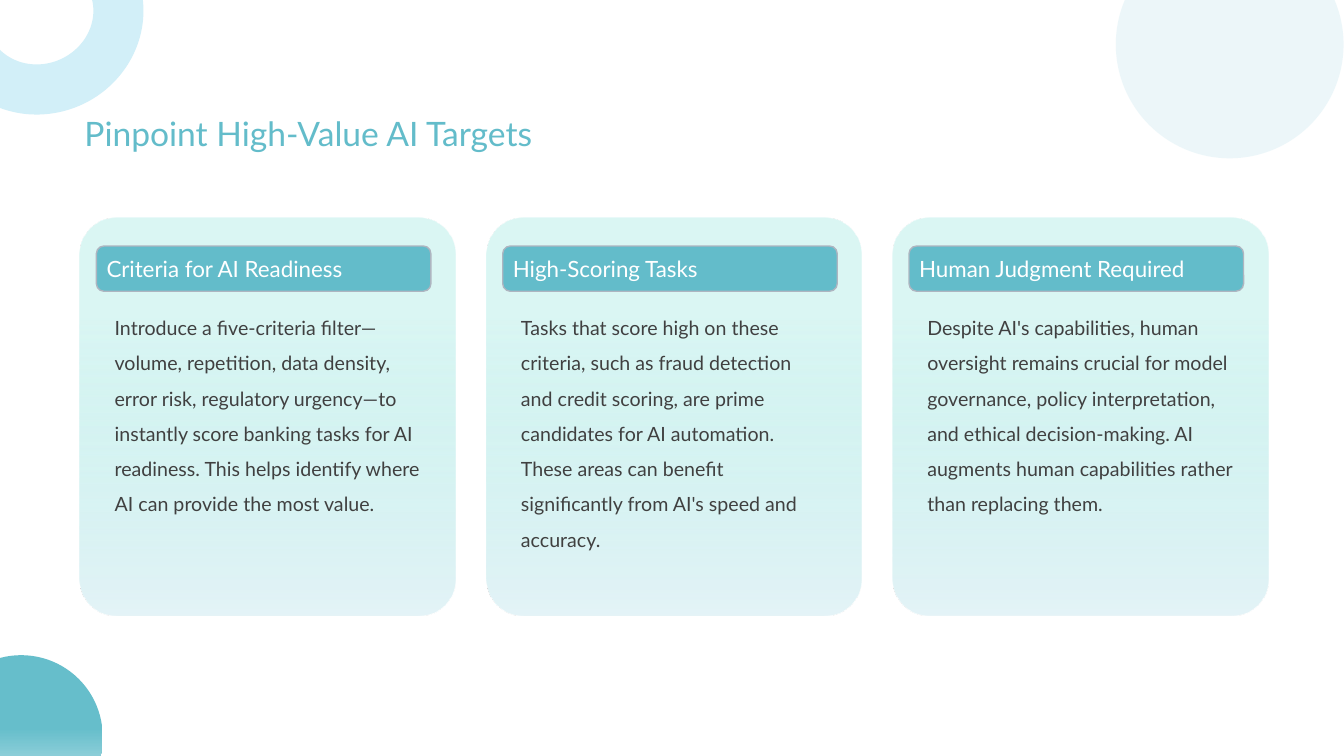
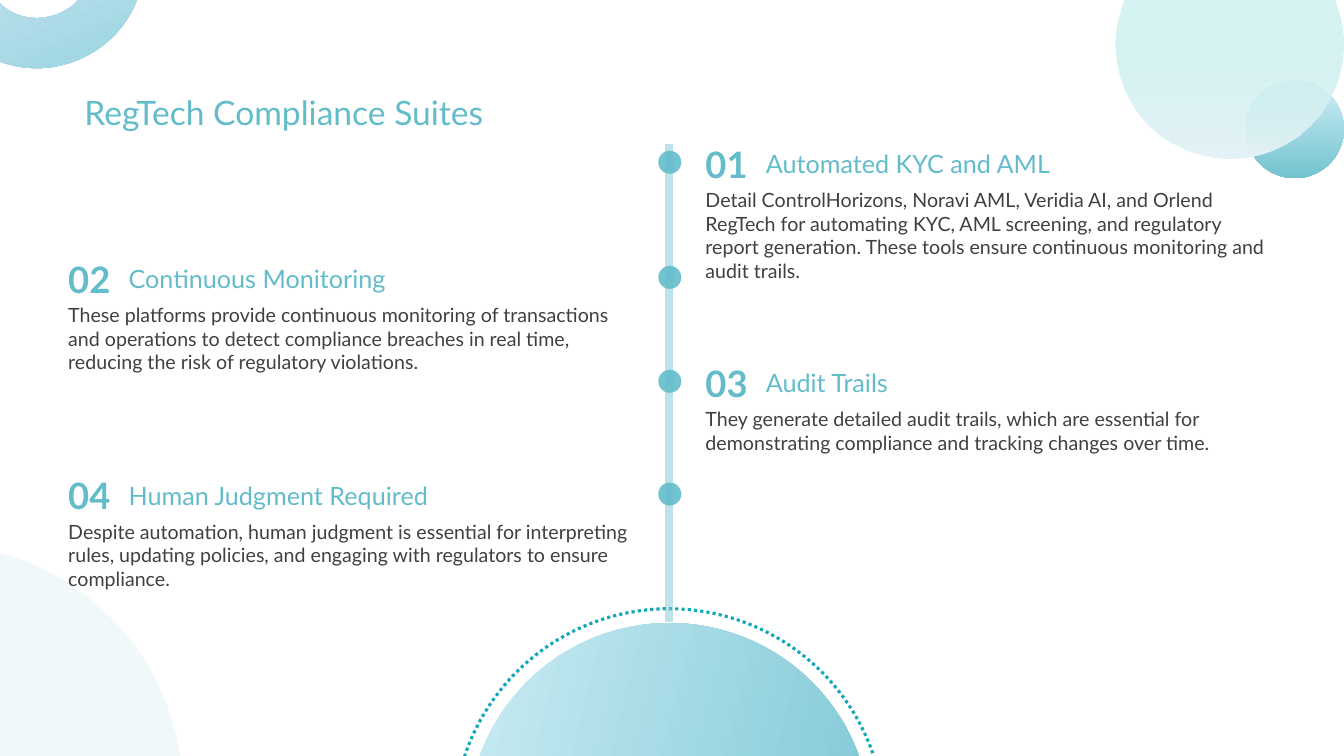
from lxml.etree import SubElement
from pptx import Presentation
from pptx.dml.color import RGBColor
from pptx.enum.dml import MSO_LINE
from pptx.enum.shapes import MSO_SHAPE
from pptx.enum.text import MSO_ANCHOR, PP_ALIGN
from pptx.oxml import parse_xml
from pptx.oxml.ns import nsdecls, qn
from pptx.util import Cm, Pt

FONT = "Lato"
TEAL, INK, WHITE = "63BCCA", "404040", "FFFFFF"
SKY, MIST, LAGOON, MINT = "D2EFF8", "E4F3F7", "72C3CF", "A8EAE4"

# A fill is a list of stops: (position in %, colour, opacity in %). One stop is a plain fill.
MINT_FADE = [(0, MINT, 42), (100, MIST, 100)]
SKY_FADE = [(0, SKY, 100), (100, LAGOON, 100)]
CARD_FADE = [(0, MINT, 42), (25, MINT, 42), (100, MIST, 100)]
CORNER_FADE = [(0, "66BECB", 100), (45, "66BECB", 100), (100, MIST, 100)]
RING_FADE = [(0, "91CFDF", 100), (100, MIST, 100)]

CARDS = [
    ("Criteria for AI Readiness",
     "Introduce a five-criteria filter—volume, repetition, data density, error risk, "
     "regulatory urgency—to instantly score banking tasks for AI readiness. This helps "
     "identify where AI can provide the most value."),
    ("High-Scoring Tasks",
     "Tasks that score high on these criteria, such as fraud detection and credit scoring, "
     "are prime candidates for AI automation. These areas can benefit significantly from "
     "AI's speed and accuracy."),
    ("Human Judgment Required",
     "Despite AI's capabilities, human oversight remains crucial for model governance, "
     "policy interpretation, and ethical decision-making. AI augments human capabilities "
     "rather than replacing them."),
]

# Top in cm, heading, body; entries alternate right and left of the line.
STEPS = [
    (3.45, "Automated KYC and AML",
     "Detail ControlHorizons, Noravi AML, Veridia AI, and Orlend RegTech for automating "
     "KYC, AML screening, and regulatory report generation. These tools ensure continuous "
     "monitoring and audit trails."),
    (6.35, "Continuous Monitoring",
     "These platforms provide continuous monitoring of transactions and operations to "
     "detect compliance breaches in real time, reducing the risk of regulatory violations."),
    (8.97, "Audit Trails",
     "They generate detailed audit trails, which are essential for demonstrating "
     "compliance and tracking changes over time."),
    (11.81, "Human Judgment Required",
     "Despite automation, human judgment is essential for interpreting rules, updating "
     "policies, and engaging with regulators to ensure compliance."),
]
STEP_LEFTS = (17.53, 1.47)


def colour(value):
    return RGBColor.from_string(value)


def plain(value, opacity=100):
    return [(0, value, opacity)]


def set_fill(shape, stops):
    """Fill with one colour, or with a top-to-bottom gradient that turns with the shape."""
    def colour_xml(value, opacity):
        return (f'<a:srgbClr val="{value}"><a:alpha val="{opacity * 1000}"/>'
                '</a:srgbClr>')

    if len(stops) == 1:
        xml = f'<a:solidFill {nsdecls("a")}>{colour_xml(*stops[0][1:])}</a:solidFill>'
    else:
        marks = "".join(f'<a:gs pos="{position * 1000}">{colour_xml(value, opacity)}</a:gs>'
                        for position, value, opacity in stops)
        xml = (f'<a:gradFill {nsdecls("a")} rotWithShape="1"><a:gsLst>{marks}</a:gsLst>'
               '<a:lin ang="5400000" scaled="0"/></a:gradFill>')
    shape.fill.background()
    properties = shape.fill._xPr
    properties.replace(properties.find(qn("a:noFill")), parse_xml(xml))


def add_figure(page, kind, left, top, width, height, fill=None, turn=0):
    """Add a preset shape without line or shadow; lengths are in cm."""
    shape = page.shapes.add_shape(kind, Cm(left), Cm(top), Cm(width), Cm(height))
    shape.shadow.inherit = False
    shape.line.fill.background()
    shape.rotation = turn
    if fill:
        set_fill(shape, fill)
    else:
        shape.fill.background()
    return shape


def add_disc(page, left, top, size, fill=None, turn=0):
    return add_figure(page, MSO_SHAPE.OVAL, left, top, size, size, fill, turn)


def write(frame, text, size, ink, bold=False, spacing=None):
    frame.word_wrap = True
    para = frame.paragraphs[0]
    para.alignment = PP_ALIGN.LEFT
    if spacing:
        para.line_spacing = spacing
    span = para.add_run()
    span.text = text
    span.font.name = FONT
    span.font.size = Pt(size)
    span.font.bold = bold
    span.font.color.rgb = colour(ink)


def add_text(page, left, top, width, height, text, size, ink, **style):
    box = page.shapes.add_textbox(Cm(left), Cm(top), Cm(width), Cm(height))
    write(box.text_frame, text, size, ink, **style)


def add_page(deck, title, title_top, accent, ring_top, ring_fill, disc_fill):
    """Add a slide with its title and corner decoration; accent is one extra disc."""
    page = deck.slides.add_slide(deck.slide_layouts[6])
    add_disc(page, *accent)
    add_figure(page, MSO_SHAPE.BLOCK_ARC, -1.63, ring_top, 5.26, 5.05, ring_fill, turn=157)
    add_text(page, 1.88, title_top, 28.93, 1.27, title, 24, TEAL)
    add_disc(page, 28.12, -1.75, 5.74, disc_fill)
    return page


def add_card(page, left, heading, body):
    card = add_figure(page, MSO_SHAPE.ROUNDED_RECTANGLE, left, 5.49, 9.47, 10.01, CARD_FADE)
    card.adjustments[0] = 0.1
    label = add_figure(page, MSO_SHAPE.ROUNDED_RECTANGLE, left + 0.42, 6.2, 8.43, 1.14,
                       plain(TEAL))
    label.line.color.rgb = colour("AEB5C0")
    label.line.width = Pt(1)
    label.text_frame.margin_left = Cm(0.2)
    label.text_frame.vertical_anchor = MSO_ANCHOR.MIDDLE
    write(label.text_frame, heading, 16, WHITE)
    add_text(page, left + 0.63, 7.54, 8.23, 7.24, body, 14, INK, spacing=1.5)


def add_step(page, number, top, heading, body):
    left = STEP_LEFTS[(number - 1) % 2]
    add_disc(page, 16.59, top + 0.35, 0.58, plain(TEAL, 90))
    add_text(page, left, top, 1.8, 1.27, f"{number:02}", 26, TEAL, bold=True)
    add_text(page, left + 1.52, top + 0.17, 9.96, 0.94, heading, 18, TEAL)
    add_text(page, left, top + 1.16, 14.91, 2.36, body, 14, INK)


def build_targets(deck):
    page = add_page(deck, "Pinpoint High-Value AI Targets", 2.72,
                    accent=(-1.52, 16.51, 4.11, CORNER_FADE),
                    ring_top=-2.18, ring_fill=plain(SKY), disc_fill=plain(MIST, 67))
    for index, (heading, body) in enumerate(CARDS):
        add_card(page, 2.01 + index * 10.24, heading, body)


def build_compliance(deck):
    page = add_page(deck, "RegTech Compliance Suites", 2.18,
                    accent=(31.39, 2.01, 2.48, SKY_FADE),
                    ring_top=-3.35, ring_fill=RING_FADE, disc_fill=MINT_FADE)
    orbit = add_disc(page, 11.43, 15.34, 10.87)
    orbit.line.color.rgb = colour("11A9B8")
    orbit.line.width = Pt(2.25)
    orbit.line.dash_style = MSO_LINE.ROUND_DOT
    add_disc(page, 11.79, 15.7, 10.16, SKY_FADE, turn=284)
    add_disc(page, -7.87, 13.72, 12.47, plain(MIST, 55))
    add_figure(page, MSO_SHAPE.RECTANGLE, 16.76, 3.63, 0.2, 12.04, plain("80C8D8", 50))
    for number, step in enumerate(STEPS, start=1):
        add_step(page, number, *step)


def main():
    deck = Presentation()
    deck.slide_width, deck.slide_height = Cm(33.87), Cm(19.05)
    build_targets(deck)
    build_compliance(deck)
    deck.save("out.pptx")


if __name__ == "__main__":
    main()
